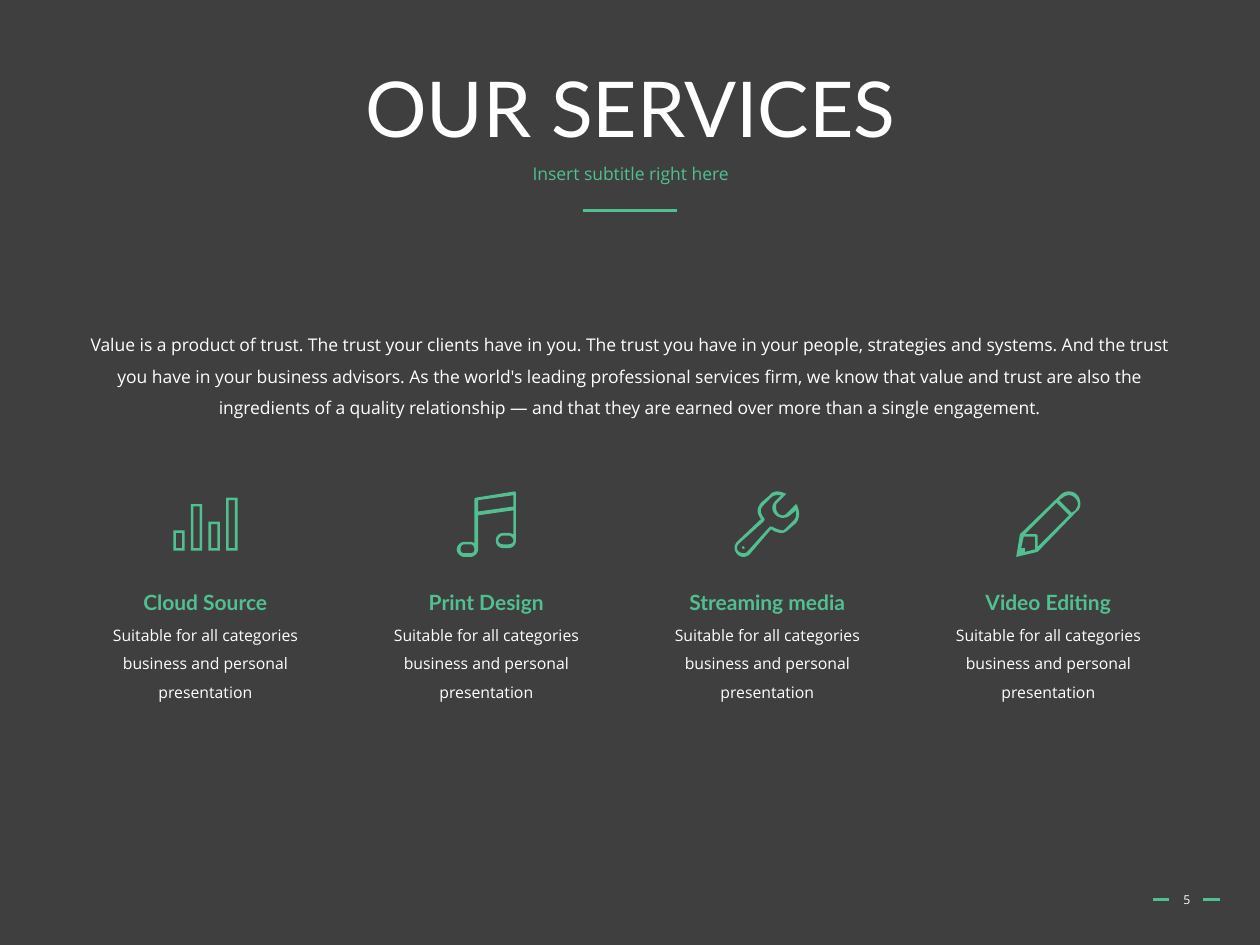
from dataclasses import dataclass

import pptx
import pptx.dml.color
import pptx.enum.shapes
import pptx.enum.text
import pptx.oxml
import pptx.util

WIDTH, HEIGHT = 10, 7.5
GREEN, WHITE, CHARCOAL = "52BF90", "FFFFFF", "3F3F3F"
HEADING_FONT, BODY_FONT = "Lato", "Open Sans"
MIDDLE = pptx.enum.text.MSO_ANCHOR.MIDDLE
TOP = pptx.enum.text.MSO_ANCHOR.TOP

FIRST_CENTRE, COLUMN_PITCH = 1.63, 2.23
ICON_TOP, HEADING_TOP, DETAIL_TOP = 3.9, 4.63, 4.84
DETAIL = "Suitable for all categories business and personal presentation"
INTRO = (
    "Value is a product of trust. The trust your clients have in you. "
    "The trust you have in your people, strategies and systems. And the trust "
    "you have in your business advisors. As the world's leading professional "
    "services firm, we know that value and trust are also the ingredients of a "
    "quality relationship — and that they are earned over more than a single "
    "engagement."
)

# Icon outlines: M, L and C commands in hundredths of an inch.
NOTES = """
M 46 0 L 15 5 L 14 6 L 14 41 C 14 41 12 40 11 40 L 6 40 C 3 40 0 43 0 46
C 0 49 3 52 6 52 L 11 52 C 14 52 17 49 17 46 L 17 19 L 45 15 L 45 34
C 44 34 43 33 41 33 L 37 33 C 33 33 31 36 31 39 C 31 42 33 45 37 45 L 41 45
C 45 45 47 42 47 39 L 47 1
M 11 49 L 6 49 C 4 49 3 48 3 46 C 3 44 4 42 6 42 L 11 42 C 13 42 14 44 14 46
C 14 48 13 49 11 49
M 41 42 L 37 42 C 35 42 33 41 33 39 C 33 37 35 35 37 35 L 41 35
C 43 35 45 37 45 39 C 45 41 43 42 41 42
M 45 12 L 17 16 L 17 7 L 45 3
"""
WRENCH = """
M 49 10 L 48 11 L 42 17 C 41 18 40 19 38 19 C 35 19 33 16 33 13
C 33 11 33 10 34 9 L 33 7 C 31 9 30 11 30 13 C 30 17 34 21 38 21
C 41 21 43 20 44 19 L 49 15 C 49 18 49 21 47 23 L 41 29 C 40 30 39 31 38 31
C 38 31 33 30 30 28 L 28 28 L 10 48 C 9 49 8 49 7 49 C 4 49 2 47 2 45
C 2 43 3 42 4 41 L 23 24 L 24 22 C 20 17 20 14 23 11 L 29 5
C 31 3 33 3 34 3 C 35 3 36 3 37 3 L 33 7 L 34 9 L 40 3 L 41 2
C 39 1 36 0 34 0 C 32 0 29 1 28 3 L 21 9 C 17 14 18 18 21 22 L 2 40
C 1 41 0 43 0 45 C 0 48 3 52 7 52 C 9 52 11 51 12 50 L 29 30
C 33 33 37 33 38 33 C 39 33 41 32 42 31 L 49 25 C 52 21 52 15 49 10
M 6 44 C 6 46 8 46 8 45 C 8 44 7 43 6 44
"""
PENCIL = """
M 42 0 C 39 0 37 1 35 3 L 3 34 L 0 52 L 17 48 L 48 16 C 50 15 51 12 51 10
C 51 4 47 0 42 0
M 15 46 L 7 48 L 7 45 L 4 45 L 6 36 L 15 36
M 17 44 L 17 35 L 16 34 L 7 34 L 32 9 L 42 19
M 47 15 L 44 17 L 34 7 L 37 5 C 37 5 39 3 42 3 C 45 3 49 6 49 10
C 49 12 48 13 47 15
"""


@dataclass(frozen=True)
class Area:
    left: float
    top: float
    width: float
    height: float


@dataclass(frozen=True)
class Style:
    font: str
    size: float
    color: str = WHITE
    bold: bool = False
    spacing: float = 1.0


@dataclass(frozen=True)
class Service:
    heading: str
    icon: str
    icon_width: int


def rgb(value: str) -> pptx.dml.color.RGBColor:
    return pptx.dml.color.RGBColor.from_string(value)


def bar_outlines() -> str:
    """Four hollow bars, each an outer and an inner rectangle."""
    outlines = []
    for column, top in enumerate((31, 10, 24, 5)):
        for inset in (0, 2):
            left, right = 14 * column + inset, 14 * column + 9 - inset
            upper, lower = top + inset, 47 - inset
            outlines.append(f"M {left} {upper} L {right} {upper} "
                            f"L {right} {lower} L {left} {lower}")
    return " ".join(outlines)


def contours(outline: str, steps: int = 8) -> list[list[tuple[float, float]]]:
    """Turn outline commands into point lists, with curves cut into steps."""
    tokens = iter(outline.split())
    result = []
    for command in tokens:
        count = 3 if command == "C" else 1
        points = [(float(next(tokens)), float(next(tokens))) for _ in range(count)]
        if command == "M":
            result.append(points)
        elif command == "L":
            result[-1] += points
        else:
            curve = [result[-1][-1], *points]
            for step in range(1, steps + 1):
                t = step / steps
                weights = ((1 - t) ** 3, 3 * t * (1 - t) ** 2,
                           3 * t ** 2 * (1 - t), t ** 3)
                result[-1].append(tuple(
                    sum(w * point[axis] for w, point in zip(weights, curve))
                    for axis in (0, 1)))
    return result


def draw_icon(page, outline: str, left: float, top: float) -> None:
    fine = 100  # whole-number units in each hundredth of an inch
    builder = None
    for contour in contours(outline):
        points = [(x * fine, y * fine) for x, y in contour]
        if builder is None:
            builder = page.shapes.build_freeform(
                *points[0], scale=pptx.util.Inches(1) / (100 * fine))
        else:
            builder.move_to(*points[0])
        builder.add_line_segments(points[1:], close=True)
    icon = builder.convert_to_shape(pptx.util.Inches(left), pptx.util.Inches(top))
    icon.shadow.inherit = False
    icon.fill.solid()
    icon.fill.fore_color.rgb = rgb(GREEN)
    icon.line.fill.background()


def draw_text(page, text: str, area: Area, style: Style,
              anchor=TOP, wrap: bool = True) -> None:
    box = page.shapes.add_textbox(*map(
        pptx.util.Inches, (area.left, area.top, area.width, area.height)))
    frame = box.text_frame
    frame.word_wrap = wrap
    frame.vertical_anchor = anchor
    para = frame.paragraphs[0]
    para.text = text
    para.alignment = pptx.enum.text.PP_ALIGN.CENTER
    para.line_spacing = style.spacing
    para.font.name = style.font
    para.font.size = pptx.util.Pt(style.size)
    para.font.bold = style.bold
    para.font.color.rgb = rgb(style.color)


def draw_rule(page, start: float, end: float, y: float) -> None:
    rule = page.shapes.add_connector(
        pptx.enum.shapes.MSO_CONNECTOR.STRAIGHT,
        *map(pptx.util.Inches, (start, y, end, y)))
    rule.line.color.rgb = rgb(GREEN)
    rule.line.width = pptx.util.Pt(1.75)
    rule._element.spPr.append(pptx.oxml.parse_xml(
        '<a:effectLst xmlns:a="http://schemas.openxmlformats.org/drawingml/2006/main"/>'))


def draw_service(page, service: Service, centre: float) -> None:
    draw_icon(page, service.icon, centre - service.icon_width / 200, ICON_TOP)
    draw_text(page, service.heading, Area(centre - 0.75, HEADING_TOP, 1.5, 0.3),
              Style(HEADING_FONT, 12, GREEN, bold=True), wrap=False)
    draw_text(page, DETAIL, Area(centre - 1.03, DETAIL_TOP, 2.06, 0.78),
              Style(BODY_FONT, 9, spacing=1.5))


def main() -> None:
    deck = pptx.Presentation()
    deck.slide_width = pptx.util.Inches(WIDTH)
    deck.slide_height = pptx.util.Inches(HEIGHT)
    page = deck.slides.add_slide(deck.slide_layouts[6])
    page.background.fill.solid()
    page.background.fill.fore_color.rgb = rgb(CHARCOAL)

    for start, end, y in ((4.63, 5.37, 1.67), (9.15, 9.28, 7.14), (9.55, 9.68, 7.14)):
        draw_rule(page, start, end, y)
    draw_text(page, "OUR SERVICES", Area(0.69, 0.4, 8.63, 0.98),
              Style(HEADING_FONT, 44, spacing=0.9), MIDDLE)
    draw_text(page, "5", Area(9.2, 6.94, 0.44, 0.4), Style(BODY_FONT, 7), MIDDLE)
    draw_text(page, "Insert subtitle right here", Area(0.69, 1.26, 8.63, 0.4),
              Style(BODY_FONT, 10, GREEN, spacing=0.9))
    draw_text(page, INTRO, Area(0.52, 2.52, 8.95, 1.04),
              Style(BODY_FONT, 10, spacing=1.5))

    services = (Service("Cloud Source", bar_outlines(), 51),
                Service("Print Design", NOTES, 47),
                Service("Streaming media", WRENCH, 52),
                Service("Video Editing", PENCIL, 51))
    for column, service in enumerate(services):
        draw_service(page, service, FIRST_CENTRE + column * COLUMN_PITCH)
    deck.save("out.pptx")


if __name__ == "__main__":
    main()
